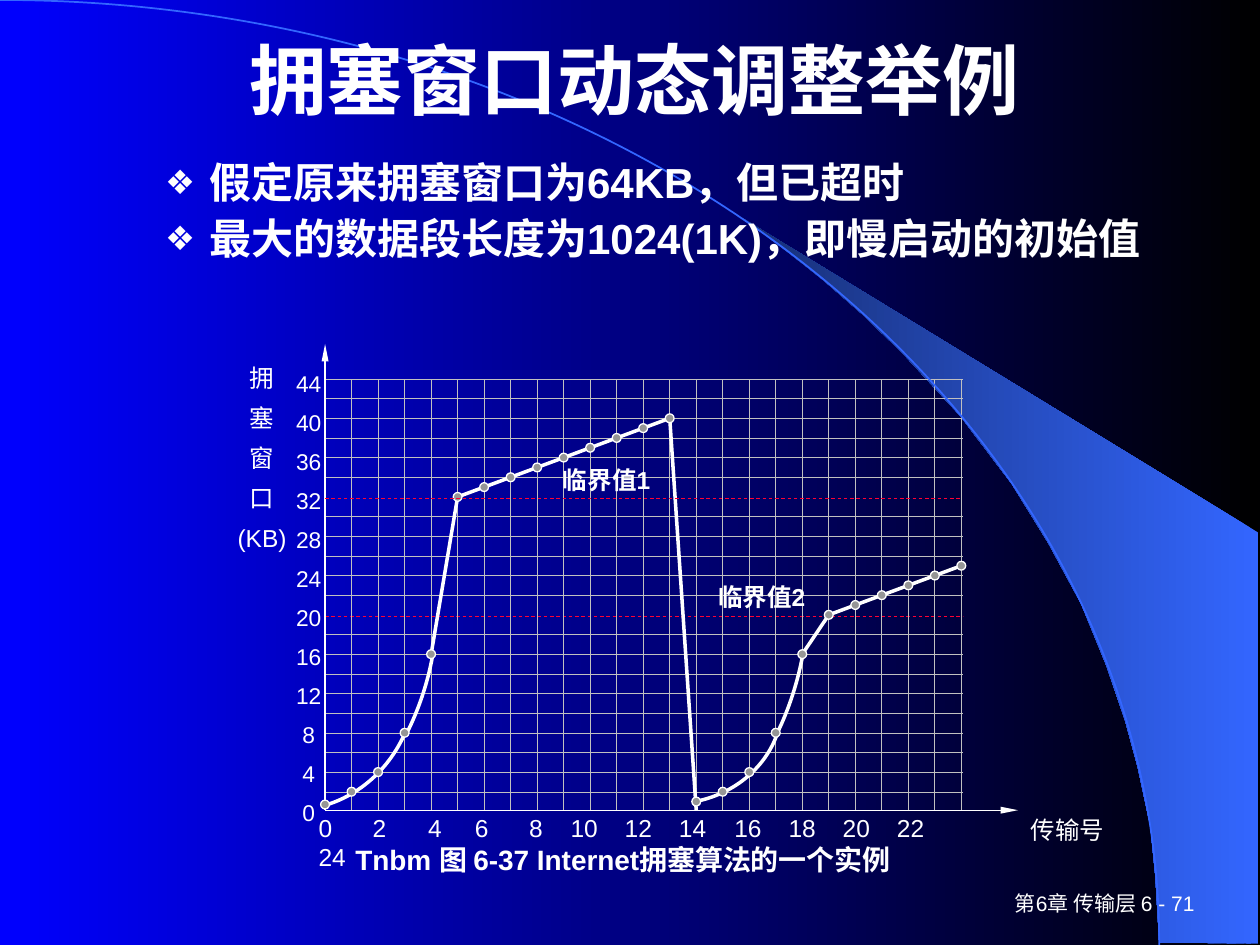
import pptx
import pptx.util
import pptx.dml.color
import pptx.enum.dml
import pptx.enum.shapes
import pptx.enum.text
import pptx.oxml
import pptx.oxml.ns
import lxml.etree

Inches = pptx.util.Inches
Pt = pptx.util.Pt
Align = pptx.enum.text.PP_ALIGN
Anchor = pptx.enum.text.MSO_ANCHOR
Preset = pptx.enum.shapes.MSO_SHAPE
qn = pptx.oxml.ns.qn
hexes = {"black": "000000", "blue": "0000FF", "sky": "3366FF", "navy": "172F75",
         "white": "FFFFFF", "red": "FF0033", "grid": "C0C0C0", "dot": "969696"}
tint = {name: pptx.dml.color.RGBColor.from_string(code) for name, code in hexes.items()}

deck = pptx.Presentation()
deck.slide_width, deck.slide_height = Inches(10), Inches(7.5)
slide = deck.slides.add_slide(deck.slide_layouts[1])
shapes = slide.shapes


def write(box, text, size, align, bold=False, after=0, pad=(0.1, 0.05)):
    frame = box.text_frame
    frame.word_wrap = True
    frame.auto_size = pptx.enum.text.MSO_AUTO_SIZE.NONE
    frame.margin_left = frame.margin_right = Inches(pad[0])
    frame.margin_top = frame.margin_bottom = Inches(pad[1])
    frame.text = text
    for para in frame.paragraphs:
        para.alignment = align
        para.space_before, para.space_after = Pt(0), Pt(after)
        for run in para.runs:
            run.font.name, run.font.size, run.font.bold = "Arial", Pt(size), bold
            run.font.color.rgb = tint["white"]
    return frame


def draw(start, end, color, width, dash=False, arrow=False):
    line = shapes.add_connector(pptx.enum.shapes.MSO_CONNECTOR.STRAIGHT,
                                *[Inches(v) for v in (*start, *end)])
    line.line.color.rgb = tint[color]
    line.line.width = Pt(width)
    if dash:
        line.line.dash_style = pptx.enum.dml.MSO_LINE.DASH
    props = line.element.spPr
    if arrow:
        lxml.etree.SubElement(props.find(qn("a:ln")), qn("a:tailEnd"),
                              type="triangle", w="sm", len="lg")
    lxml.etree.SubElement(props, qn("a:effectLst"))


back = slide.background.fill
back.gradient()
back.gradient_angle = 180
for stop, name in zip(back.gradient_stops, ("black", "blue")):
    stop.color.rgb = tint[name]

edge = [(9.2, 7.48), (9.99, 7.49), (9.99, 4.23), (5.89, 1.73), (6.24, 1.99), (6.53, 2.22),
        (6.85, 2.5), (7.16, 2.8), (7.62, 3.3), (8.03, 3.84), (8.32, 4.31), (8.58, 4.79),
        (8.78, 5.28), (8.93, 5.72), (9.03, 6.09), (9.13, 6.56), (9.17, 6.96)]
pen = shapes.build_freeform(Inches(edge[0][0]), Inches(edge[0][1]))
pen.add_line_segments([(Inches(x), Inches(y)) for x, y in edge[1:]], close=True)
sweep = pen.convert_to_shape()
sweep.shadow.inherit = False
sweep.line.fill.background()
sweep.fill.gradient()
sweep.fill.gradient_angle = 180
for stop, name in zip(sweep.fill.gradient_stops, ("sky", "navy")):
    stop.color.rgb = tint[name]

left, base, unit = 2.58, 6.44, 0.078
top, right = 3.01, 7.64
col = (7.63 - left) / 24
values = [0.7, 2, 4, 8, 16, *range(32, 41), 1, 2, 4, 8, 16, *range(20, 26)]
dots = [(left + col * i, base - unit * v) for i, v in enumerate(values)]

draw((left, 4.89), (right, 4.89), "red", 0.5, dash=True)
for i in range(1, 25):
    draw((left + col * i, top), (left + col * i, 6.43), "grid", 0.5)
for i in range(22):
    if i not in (6, 12):
        y = top + 2 * unit * i
        draw((left, y), (right, y), "grid", 0.5)
draw((left, 6.43), (left, 2.73), "white", 0.75, arrow=True)
draw((left, 6.43), (8.08, 6.43), "white", 0.75, arrow=True)

arcs = [((-9.2, 0, 18.4, 14.97), -90, 0, 0, "sky", 1),
        ((1.32, 4.29, 1.99, 2.14), 25.9, 75.6, 0, "white", 2),
        ((0.6, 3.1, 2.86, 3.66), 1.9, 27.9, 9.2, "white", 2),
        ((4.45, 4.79, 1.76, 1.59), 17.5, 76, 0, "white", 2),
        ((3.64, 3.03, 2.76, 3.77), 2.6, 29.3, 9.2, "white", 2)]
for place, start, end, turn, color, width in arcs:
    arc = shapes.add_shape(Preset.ARC, *[Inches(v) for v in place])
    arc.adjustments[0], arc.adjustments[1] = start * 0.6, end * 0.6
    arc.rotation = turn
    arc.shadow.inherit = False
    arc.fill.background()
    arc.line.color.rgb = tint[color]
    arc.line.width = Pt(width)

for a, b in ((4, 5), (5, 13), (18, 19), (19, 24)):
    draw(dots[a], dots[b], "white", 2)
foot = (dots[14][0], 6.43)
draw(dots[13], foot, "white", 2)
draw((foot[0], 6.31), foot, "white", 0.75)
for x, y in dots:
    dot = shapes.add_shape(Preset.OVAL, Inches(x - 0.035), Inches(y - 0.035),
                           Inches(0.07), Inches(0.07))
    dot.shadow.inherit = False
    dot.fill.solid()
    dot.fill.fore_color.rgb = tint["dot"]
    dot.line.color.rgb = tint["white"]
    dot.line.width = Pt(0.75)
draw((left, 3.96), (7.63, 3.96), "red", 0.5, dash=True)

title, body = shapes.title, slide.placeholders[1]
for holder, place in ((title, (0.79, 0.24, 8.5, 0.77)), (body, (1.1, 1.24, 8.51, 1.25))):
    holder.left, holder.top, holder.width, holder.height = [Inches(v) for v in place]
    holder.element.getparent().append(holder.element)
write(title, "拥塞窗口动态调整举例", 44, Align.CENTER, bold=True)
title.text_frame.vertical_anchor = Anchor.MIDDLE
frame = write(body, "假定原来拥塞窗口为64KB，但已超时\n最大的数据段长度为1024(1K)，即慢启动的初始值",
              24, Align.LEFT, bold=True)
for i, para in enumerate(frame.paragraphs):
    para.line_spacing = 0.9
    para.space_before = Pt(6 * i)
    props = para._p.get_or_add_pPr()
    props.set("marL", str(Inches(0.46)))
    props.set("indent", str(Inches(-0.35)))
    shade = lxml.etree.SubElement(props, qn("a:buClr"))
    lxml.etree.SubElement(shade, qn("a:srgbClr"), val=hexes["white"])
    lxml.etree.SubElement(props, qn("a:buSzPct"), val="80000")
    lxml.etree.SubElement(props, qn("a:buFont"), typeface="Arial")
    lxml.etree.SubElement(props, qn("a:buChar"), char="❖")

labels = [
    ((7.5, 7, 2.08, 0.33), "第6章 传输层 6 - 71", 12, Align.RIGHT, False, 0),
    ((2.23, 6.64, 5.43, 0.34), "Tnbm 图 6-37 Internet拥塞算法的一个实例", 16, Align.CENTER, True, 0),
    ((8.08, 6.42, 0.89, 0.31), "传输号", 14, Align.LEFT, False, 6),
    ((4.37, 3.64, 0.94, 0.31), "临界值1", 14, Align.LEFT, True, 6),
    ((5.6, 4.57, 0.95, 0.31), "临界值2", 14, Align.LEFT, True, 6),
    ((1.84, 2.84, 0.48, 1.61), "拥\n塞\n窗\n口\n(KB)", 14, Align.CENTER, False, 6),
    ((2.23, 2.88, 0.44, 3.89), "\n".join(str(n) for n in range(44, -1, -4)),
     13, Align.CENTER, False, 6),
    ((2.43, 6.4, 5.45, 0.31), "\t".join(str(n) for n in range(0, 24, 2)) + "\v24",
     14, Align.LEFT, False, 6),
]
for place, text, size, align, bold, after in labels:
    box = shapes.add_textbox(*[Inches(v) for v in place])
    pad = (0.04, 0.04) if "KB" in text else (0.1, 0.05)
    frame = write(box, text, size, align, bold, after, pad)
    if "71" in text:
        frame.vertical_anchor = Anchor.MIDDLE
    if text.startswith("44"):
        for para in frame.paragraphs:
            para.line_spacing = 1.04
    if "\t" in text:
        stops = lxml.etree.SubElement(frame.paragraphs[0]._p.get_or_add_pPr(), qn("a:tabLst"))
        for spot in (0.43, 0.87, 1.24, 1.67, 2, 2.43, 2.86, 3.3, 3.73, 4.16, 4.59):
            lxml.etree.SubElement(stops, qn("a:tab"), pos=str(Inches(spot)), algn="l")

deck.save("out.pptx")
